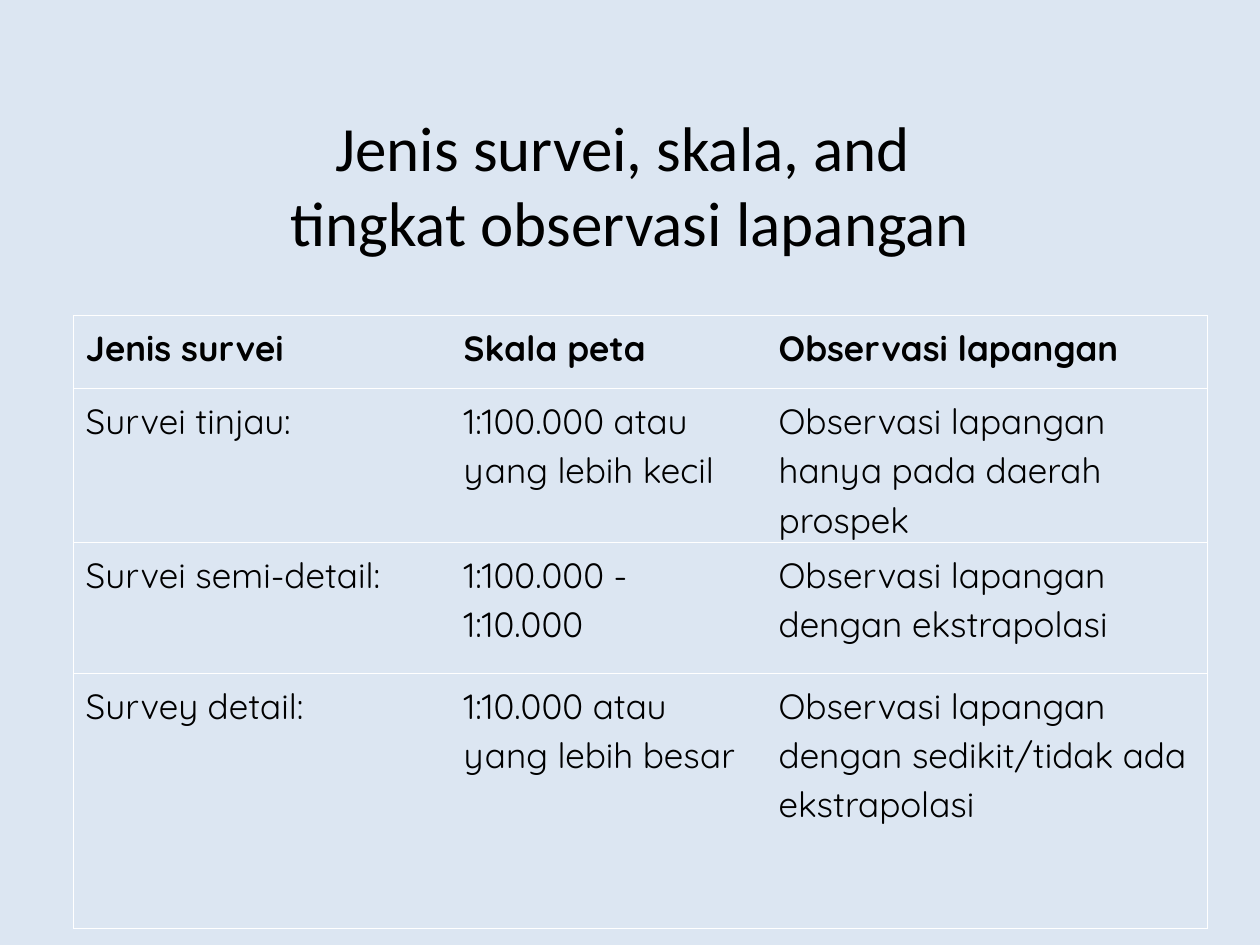
from dataclasses import dataclass

from lxml.etree import SubElement
from pptx import Presentation
from pptx.dml.color import RGBColor
from pptx.enum.text import MSO_ANCHOR, PP_ALIGN
from pptx.oxml.ns import qn
from pptx.util import Inches, Pt

TITLE = "Jenis survei, skala, and \vtingkat observasi lapangan"
ROWS = [
    ("Jenis survei", "Skala peta", "Observasi lapangan"),
    ("Survei tinjau:", "1:100.000 atau yang lebih kecil",
     "Observasi lapangan hanya pada daerah prospek"),
    ("Survei semi-detail:", "1:100.000 - 1:10.000",
     "Observasi lapangan dengan ekstrapolasi"),
    ("Survey detail:", "1:10.000 atau yang lebih besar",
     "Observasi lapangan dengan sedikit/tidak ada ekstrapolasi"),
]
COLUMN_WIDTHS = [3, 2.5, 3.5]
ROW_HEIGHTS = [0.58, 1.22, 1.04, 2.03]


@dataclass(frozen=True)
class Theme:
    background: str = "DCE6F2"
    text: str = "000000"
    border: str = "FFFFFF"
    border_width: float = 0.23
    title_font: str = "Calibri"
    title_size: int = 36
    table_font: str = "Quicksand"
    table_size: int = 20
    line_spacing: float = 1.12


THEME = Theme()


def style_text(para, name, size, bold=False):
    for span in para.runs:
        span.font.name = name
        span.font.size = Pt(size)
        span.font.bold = bold
        span.font.color.rgb = RGBColor.from_string(THEME.text)


def set_borders(cell, visible):
    """Draw the sides named in visible (L, R, T, B) and hide the others."""
    properties = cell._tc.get_or_add_tcPr()
    for side in "LRTB":
        line = SubElement(properties, qn(f"a:ln{side}"),
                          w=str(Pt(THEME.border_width)))
        if side in visible:
            fill = SubElement(line, qn("a:solidFill"))
            SubElement(fill, qn("a:srgbClr"), val=THEME.border)
        else:
            SubElement(line, qn("a:noFill"))


def add_title(slide):
    box = slide.shapes.add_textbox(Inches(0.5), Inches(0.75),
                                   Inches(9), Inches(1.42))
    frame = box.text_frame
    frame.word_wrap = True
    frame.vertical_anchor = MSO_ANCHOR.MIDDLE
    para = frame.paragraphs[0]
    para.text = TITLE
    para.alignment = PP_ALIGN.CENTER
    style_text(para, THEME.title_font, THEME.title_size)


def add_survey_table(slide):
    table = slide.shapes.add_table(
        len(ROWS), len(COLUMN_WIDTHS), Inches(0.58), Inches(2.5),
        Inches(sum(COLUMN_WIDTHS)), Inches(sum(ROW_HEIGHTS))).table
    table.first_row = table.horz_banding = False
    for column, width in zip(table.columns, COLUMN_WIDTHS):
        column.width = Inches(width)
    last = len(COLUMN_WIDTHS) - 1
    for r, (row, height, texts) in enumerate(zip(table.rows, ROW_HEIGHTS, ROWS)):
        row.height = Inches(height)
        for c, (cell, text) in enumerate(zip(row.cells, texts)):
            set_borders(cell, "TB" + "L" * (c == 0) + "R" * (c == last))
            cell.fill.background()
            para = cell.text_frame.paragraphs[0]
            para.text = text
            para.line_spacing = THEME.line_spacing
            style_text(para, THEME.table_font, THEME.table_size, bold=r == 0)


def main():
    deck = Presentation()
    deck.slide_width, deck.slide_height = Inches(10), Inches(7.5)
    page = deck.slides.add_slide(deck.slide_layouts[6])
    page.background.fill.solid()
    page.background.fill.fore_color.rgb = RGBColor.from_string(THEME.background)
    add_title(page)
    add_survey_table(page)
    deck.save("out.pptx")


if __name__ == "__main__":
    main()
